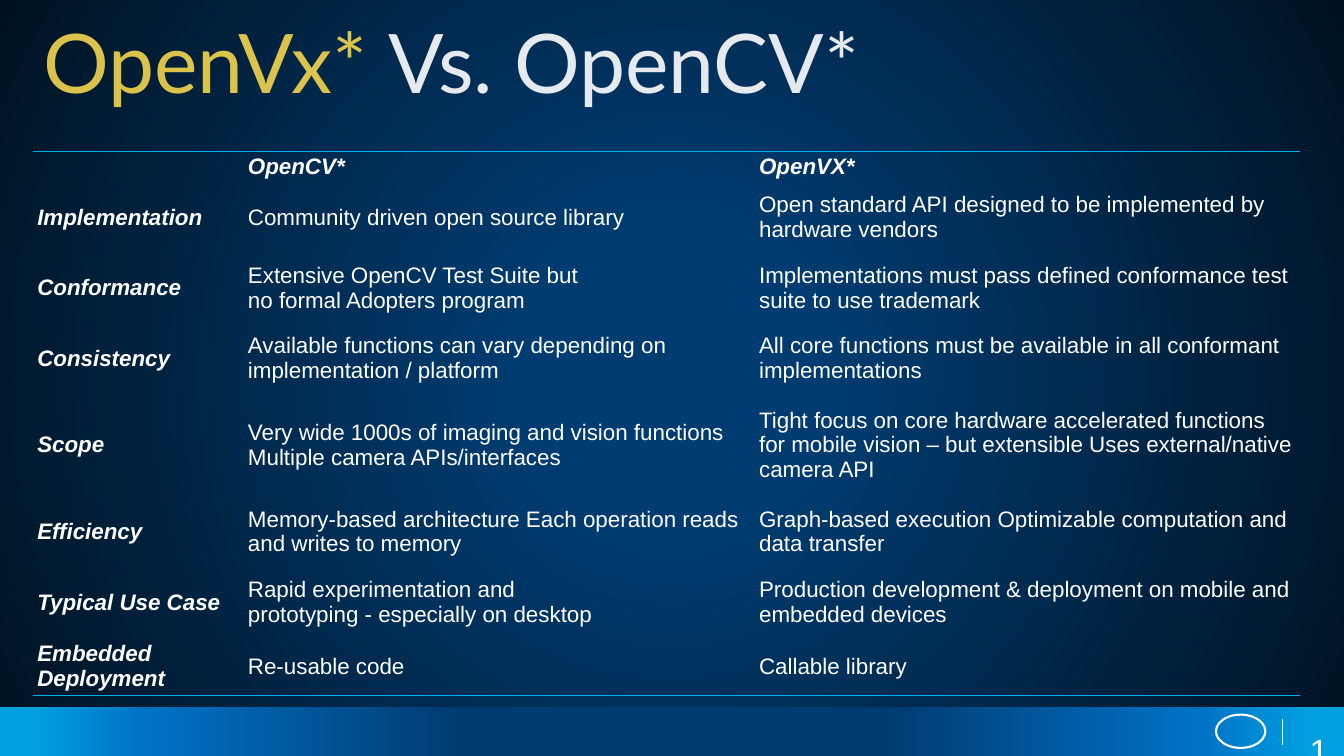
from dataclasses import dataclass

from lxml import etree
from pptx import Presentation
from pptx.dml.color import RGBColor
from pptx.enum.shapes import MSO_CONNECTOR, MSO_SHAPE
from pptx.enum.text import MSO_ANCHOR, PP_ALIGN
from pptx.oxml import parse_xml
from pptx.oxml.ns import nsdecls, qn
from pptx.util import Inches, Pt

MIDDLE, TOP = MSO_ANCHOR.MIDDLE, MSO_ANCHOR.TOP
LEFT = PP_ALIGN.LEFT
RECTANGLE, OVAL = MSO_SHAPE.RECTANGLE, MSO_SHAPE.OVAL
STRAIGHT = MSO_CONNECTOR.STRAIGHT

WIDTH, HEIGHT = 13.33, 7.5
MARGIN = 0.33
BAR_TOP = 7.01
PLAIN_TABLE_STYLE = "{2D5ABB26-0587-4C30-8999-92F81FD0307C}"


@dataclass(frozen=True)
class Theme:
    white: str = "FFFFFF"
    yellow: str = "F3D54E"
    navy: str = "003C71"
    night: str = "001222"
    blue: str = "0071C5"
    sky: str = "009FDF"
    rule: str = "00AEEF"
    heading_font: str = "Lato"
    body_font: str = "Arial"
    title_size: float = 58.7
    number_size: float = 24
    table_size: float = 16


THEME = Theme()

COLUMN_WIDTHS = [2.09, 5.07, 5.4]
ROW_HEIGHTS = [0.21, 0.7, 0.7, 0.7, 1.02, 0.7, 0.7, 0.38]
COMPARISON = [
    ("", "OpenCV*", "OpenVX*"),
    ("Implementation", "Community driven open source library",
     "Open standard API designed to be implemented by hardware vendors"),
    ("Conformance",
     "Extensive OpenCV Test Suite but\vno formal Adopters program",
     "Implementations must pass defined conformance test suite to use trademark"),
    ("Consistency",
     "Available functions can vary depending on implementation / platform",
     "All core functions must be available in all conformant implementations"),
    ("Scope",
     "Very wide 1000s of imaging and vision functions Multiple camera APIs/interfaces",
     "Tight focus on core hardware accelerated functions for mobile vision – "
     "but extensible Uses external/native camera API"),
    ("Efficiency",
     "Memory-based architecture Each operation reads and writes to memory",
     "Graph-based execution Optimizable computation and data transfer"),
    ("Typical Use Case",
     "Rapid experimentation and\vprototyping - especially on desktop",
     "Production development & deployment on mobile and embedded devices"),
    ("Embedded\vDeployment", "Re-usable code", "Callable library"),
]


def apply(target, values):
    for name, value in values.items():
        setattr(target, name, value)


def box(left, top, width, height):
    return [Inches(v) for v in (left, top, width, height)]


def style_font(font, size, color, face=THEME.body_font, **flags):
    apply(font, {"size": Pt(size), "name": face, **flags})
    font.color.rgb = RGBColor.from_string(color)


def set_gradient(owner, stops, direction):
    """Replace the gradient in owner by (percent, colour) stops and a direction."""
    gradient = next(owner.iter(qn("a:gradFill")))
    for child in list(gradient):
        gradient.remove(child)
    marks = "".join(
        f'<a:gs pos="{round(share * 1000)}"><a:srgbClr val="{color}"/></a:gs>'
        for share, color in stops)
    gradient.append(parse_xml(f'<a:gsLst {nsdecls("a")}>{marks}</a:gsLst>'))
    gradient.append(parse_xml(direction))


def paint_background(slide):
    slide.background.fill.gradient()
    set_gradient(
        slide.background.fill._xPr,
        [(0, THEME.navy), (19, THEME.navy), (100, THEME.night)],
        f'<a:path {nsdecls("a")} path="circle">'
        '<a:fillToRect l="50000" t="50000" r="50000" b="50000"/></a:path>')


def add_footer_bar(slide):
    bar = slide.shapes.add_shape(
        RECTANGLE, *box(0, BAR_TOP, WIDTH, HEIGHT - BAR_TOP))
    bar.shadow.inherit = False
    bar.line.fill.background()
    bar.fill.gradient()
    edge = [(2.5, THEME.sky), (11, THEME.blue), (34, THEME.navy)]
    mirrored = [(100 - share, color) for share, color in reversed(edge)]
    set_gradient(bar.element.spPr, edge + mirrored,
                 f'<a:lin {nsdecls("a")} ang="0" scaled="0"/>')


def add_footer_marks(slide):
    # Plain oval in the emblem's place
    emblem = slide.shapes.add_shape(OVAL, *box(12.06, 7.09, 0.49, 0.33))
    emblem.shadow.inherit = False
    emblem.fill.background()
    emblem.line.color.rgb = RGBColor.from_string(THEME.white)
    emblem.line.width = Pt(1.5)

    # Divider
    divider = slide.shapes.add_connector(
        STRAIGHT, *box(12.72, 7.13, 12.72, 7.39))
    divider.line.color.rgb = RGBColor.from_string(THEME.white)
    divider.line.width = Pt(0.25)
    etree.SubElement(divider.element.spPr, qn("a:effectLst"))


def add_page_number(slide):
    frame = slide.shapes.add_textbox(*box(12.9, 7.17, 0.19, 0.18)).text_frame
    apply(frame, {"word_wrap": False, "vertical_anchor": TOP,
                  "margin_left": Inches(0.09), "margin_right": 0,
                  "margin_top": Inches(0.07), "margin_bottom": 0})
    paragraph = frame.paragraphs[0]
    paragraph.alignment = LEFT
    run = paragraph.add_run()
    run.text = "1"
    style_font(run.font, THEME.number_size, THEME.white)
    # Turn the run into a slide number field
    field = parse_xml(
        f'<a:fld {nsdecls("a")} type="slidenum" '
        'id="{B6F15528-21DE-4FAA-801E-634DDDAF4B2B}"/>')
    paragraph._p.replace(run._r, field)
    field.extend(list(run._r))


def add_title(slide, parts):
    title = slide.shapes.title
    apply(title, dict(zip(("left", "top", "width", "height"),
                          box(MARGIN, 0.33, 12.48, 0.79))))
    frame = title.text_frame
    apply(frame, {"word_wrap": True, "vertical_anchor": MIDDLE})
    paragraph = frame.paragraphs[0]
    apply(paragraph, {"alignment": LEFT, "line_spacing": 0.7})
    for words, color in parts:
        run = paragraph.add_run()
        run.text = words
        style_font(run.font, THEME.title_size, color, THEME.heading_font)
        solid = next(run._r.iter(qn("a:srgbClr")))
        etree.SubElement(solid, qn("a:alpha"), val="90000")


def add_cell_rule(cell, side):
    cell._tc.get_or_add_tcPr().insert(0, parse_xml(
        f'<a:{side} {nsdecls("a")} w="{Pt(1)}"><a:solidFill>'
        f'<a:srgbClr val="{THEME.rule}"/></a:solidFill></a:{side}>'))


def fill_cell(cell, words, emphasized):
    apply(cell, {"vertical_anchor": MIDDLE,
                 "margin_left": Inches(0.04), "margin_right": Inches(0.04),
                 "margin_top": Inches(0.02), "margin_bottom": Inches(0.02)})
    cell.fill.background()
    paragraph = cell.text_frame.paragraphs[0]
    paragraph.text = words
    style_font(paragraph.font, THEME.table_size, THEME.white)
    for run in paragraph.runs:
        style_font(run.font, THEME.table_size, THEME.white,
                   bold=emphasized, italic=emphasized)
    if not words:
        etree.SubElement(paragraph._p, qn("a:endParaRPr"),
                         sz=str(THEME.table_size * 100))


def add_comparison(slide):
    table = slide.shapes.add_table(
        len(ROW_HEIGHTS), len(COLUMN_WIDTHS),
        *box(MARGIN, 1.5, sum(COLUMN_WIDTHS), sum(ROW_HEIGHTS))).table
    apply(table, {"first_row": False, "horz_banding": False})
    next(table._tbl.iter(qn("a:tableStyleId"))).text = PLAIN_TABLE_STYLE
    for column, width in zip(table.columns, COLUMN_WIDTHS):
        column.width = Inches(width)
    last = len(COMPARISON) - 1
    for r, (row, height) in enumerate(zip(table.rows, ROW_HEIGHTS)):
        row.height = Inches(height)
        for c, words in enumerate(COMPARISON[r]):
            cell = table.cell(r, c)
            fill_cell(cell, words, emphasized=r == 0 or c == 0)
            if r in (0, last):
                add_cell_rule(cell, "lnT" if r == 0 else "lnB")


def main():
    deck = Presentation()
    apply(deck, {"slide_width": Inches(WIDTH), "slide_height": Inches(HEIGHT)})
    slide = deck.slides.add_slide(deck.slide_layouts[5])

    paint_background(slide)
    add_footer_bar(slide)
    add_footer_marks(slide)
    add_title(slide, [("OpenVx* ", THEME.yellow), ("Vs. OpenCV*", THEME.white)])
    add_page_number(slide)
    add_comparison(slide)
    deck.save("out.pptx")


if __name__ == "__main__":
    main()
